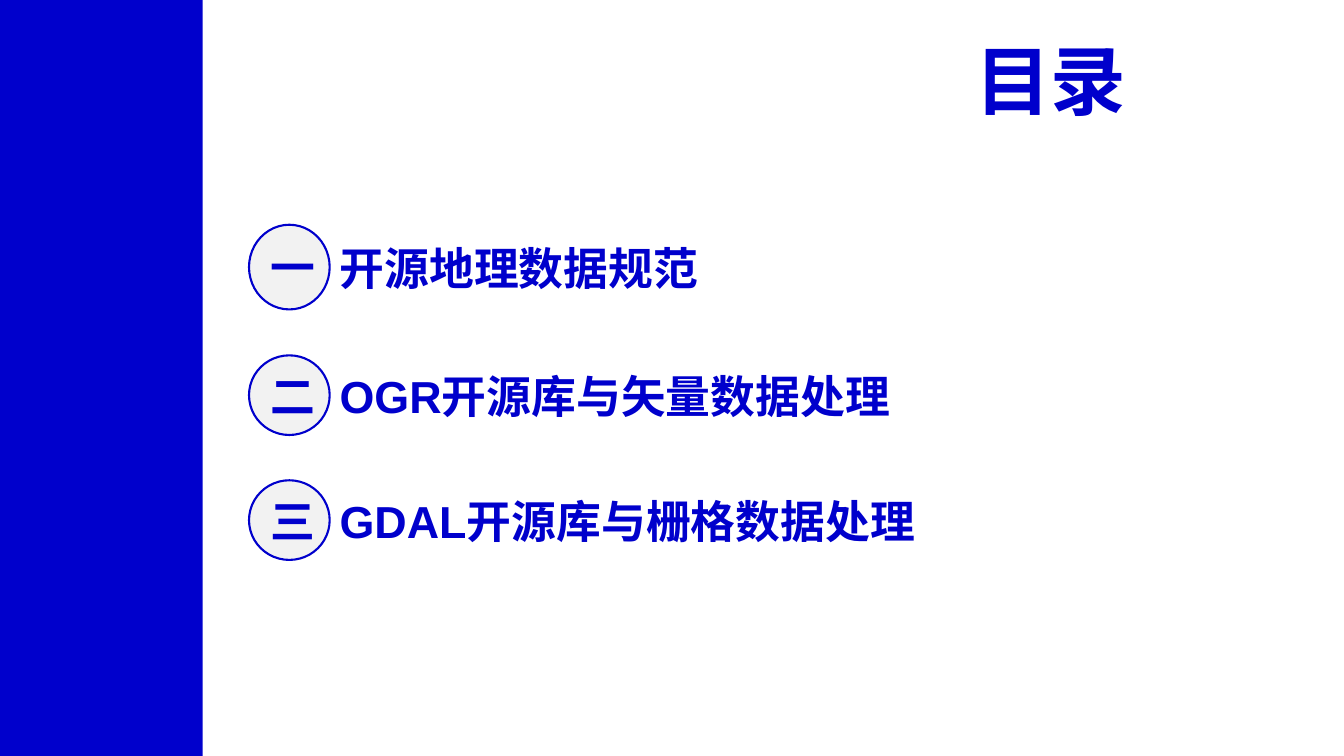
from dataclasses import dataclass

from lxml.etree import SubElement
from pptx import Presentation
from pptx.dml.color import RGBColor
from pptx.enum.shapes import MSO_SHAPE
from pptx.enum.text import MSO_ANCHOR, PP_ALIGN
from pptx.oxml.ns import qn
from pptx.shapes.autoshape import Shape
from pptx.slide import Slide
from pptx.util import Inches, Pt


@dataclass(frozen=True)
class Theme:
    blue: RGBColor = RGBColor(0x00, 0x00, 0xCC)
    badge: RGBColor = RGBColor(0xF2, 0xF2, 0xF2)
    latin: str = "Arial"
    cjk: str = "Noto Sans CJK SC"
    title_size: int = 54
    entry_size: int = 32
    outline: float = 1.5


@dataclass(frozen=True)
class Entry:
    number: str
    title: str
    middle: float
    badge_height: float
    title_width: float


THEME = Theme()
BADGE_LEFT, BADGE_WIDTH = 2.47, 0.8
TITLE_HEIGHT = 0.64
ENTRIES = [
    Entry("一", "开源地理数据规范", 2.65, 0.84, 7.42),
    Entry("二", "OGR开源库与矢量数据处理", 3.92, 0.79, 5.82),
    Entry("三", "GDAL开源库与栅格数据处理", 5.16, 0.79, 7.03),
]


def write(sp: Shape, text: str, size: int, font: str, align: PP_ALIGN,
          anchor: MSO_ANCHOR = MSO_ANCHOR.MIDDLE, wrap: bool = True) -> None:
    tf = sp.text_frame
    tf.word_wrap = wrap
    tf.vertical_anchor = anchor
    p = tf.paragraphs[0]
    p.alignment = align
    r = p.add_run()
    r.text = text
    r.font.size = Pt(size)
    r.font.bold = True
    r.font.name = font
    r.font.color.rgb = THEME.blue
    SubElement(r._r.get_or_add_rPr(), qn("a:ea"), typeface=THEME.cjk)


def add_sidebar(s: Slide) -> None:
    sp = s.shapes.add_shape(MSO_SHAPE.RECTANGLE, 0, 0, Inches(2.01), Inches(7.5))
    sp.shadow.inherit = False
    sp.fill.solid()
    sp.fill.fore_color.rgb = THEME.blue
    sp.line.fill.background()


def add_heading(s: Slide) -> None:
    sp = s.shapes.add_textbox(Inches(9.55), Inches(0.29), Inches(1.72), Inches(1.01))
    write(sp, "目录", THEME.title_size, THEME.latin, PP_ALIGN.RIGHT,
          MSO_ANCHOR.TOP, wrap=False)


def add_entry(s: Slide, entry: Entry) -> None:
    grp = s.shapes.add_group_shape()
    badge = grp.shapes.add_shape(
        MSO_SHAPE.OVAL, Inches(BADGE_LEFT), Inches(entry.middle - entry.badge_height / 2),
        Inches(BADGE_WIDTH), Inches(entry.badge_height))
    badge.shadow.inherit = False
    badge.fill.solid()
    badge.fill.fore_color.rgb = THEME.badge
    badge.line.color.rgb = THEME.blue
    badge.line.width = Pt(THEME.outline)
    write(badge, entry.number, THEME.entry_size, THEME.cjk, PP_ALIGN.CENTER)

    title = grp.shapes.add_textbox(
        Inches(BADGE_LEFT + BADGE_WIDTH), Inches(entry.middle - TITLE_HEIGHT / 2),
        Inches(entry.title_width), Inches(TITLE_HEIGHT))
    write(title, entry.title, THEME.entry_size, THEME.latin, PP_ALIGN.LEFT)


def main() -> None:
    prs = Presentation()
    prs.slide_width = Inches(13.33)
    prs.slide_height = Inches(7.5)
    s = prs.slides.add_slide(prs.slide_layouts[6])
    add_sidebar(s)
    add_heading(s)
    for entry in ENTRIES:
        add_entry(s, entry)
    prs.save("out.pptx")


if __name__ == "__main__":
    main()
